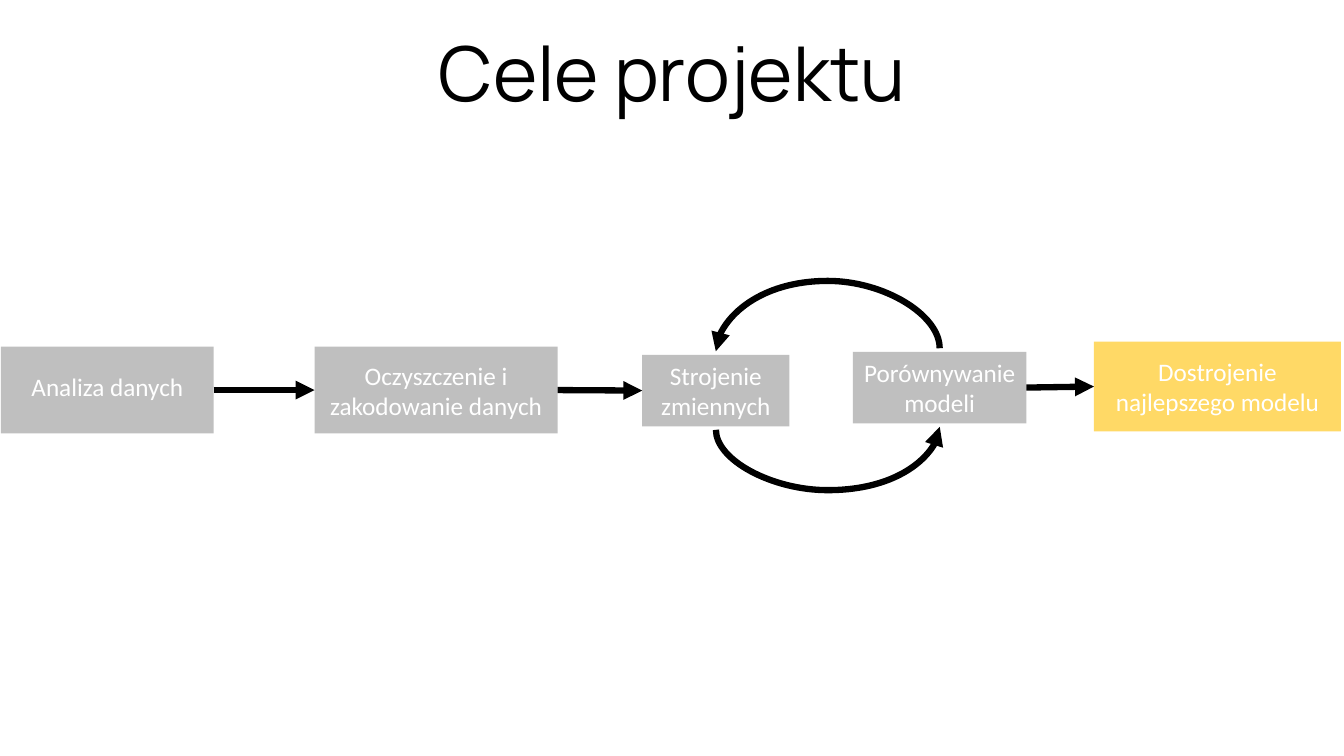
"""Builds the project goals slide: a five-step flow with a tuning loop."""
from lxml import etree
from pptx import Presentation
from pptx import util as u
from pptx.dml.color import RGBColor
from pptx.enum import shapes, text
from pptx.oxml.ns import qn

W, H = 13.33, 7.5
COLORS = {"step": "BFBFBF", "goal": "FFD966", "label": "FFFFFF", "ink": "000000"}
TITLE = ("Cele projektu", (3.89, 0.21, 5.56, 1.01))
STEPS = [
    {"label": "Analiza danych", "at": (0.01, 3.44, 2.11, 0.86), "lift": 0.04},
    {"label": "Oczyszczenie i zakodowanie danych", "at": (3.12, 3.44, 2.41, 0.86)},
    {"label": "Strojenie zmiennych", "at": (6.37, 3.52, 1.46, 0.71)},
    {"label": "Porównywanie modeli", "at": (8.46, 3.49, 1.72, 0.71)},
    {"label": "Dostrojenie najlepszego modelu", "at": (10.85, 3.39, 2.45, 0.89), "fill": "goal"},
]
LOOP_X, LOOP_SPAN, LOOP_RISE = 8.21, 2.22, 0.03
LOOPS = [
    {"y": 4.25, "depth": 0.6, "turn": 90},
    {"y": 3.47, "depth": 0.67, "turn": 270},
]


def rgb(name):
    return RGBColor.from_string(COLORS[name])


def write(sp, words, size=18, font="Calibri", color="label", anchor=text.MSO_ANCHOR.MIDDLE):
    tf = sp.text_frame
    tf.word_wrap, tf.auto_size, tf.vertical_anchor = True, text.MSO_AUTO_SIZE.NONE, anchor
    p = tf.paragraphs[0]
    p.alignment = text.PP_ALIGN.CENTER
    r = p.add_run()
    r.text = words
    r.font.size, r.font.name, r.font.color.rgb = u.Pt(size), font, rgb(color)


def add_step(s, label, at, fill="step", lift=0):
    sp = s.shapes.add_shape(shapes.MSO_SHAPE.RECTANGLE, *map(u.Inches, at))
    sp.shadow.inherit = False
    sp.fill.solid()
    sp.fill.fore_color.rgb = rgb(fill)
    sp.line.fill.background()
    sp.text_frame.margin_left = sp.text_frame.margin_right = u.Inches(0.05)
    sp.text_frame.margin_bottom = u.Inches(0.05 + 2 * lift)
    write(sp, label)
    return sp


def add_arrow(s, kind, ends=(0, 0, 0, 0)):
    c = s.shapes.add_connector(kind, *map(u.Inches, ends))
    c.line.color.rgb, c.line.width = rgb("ink"), u.Pt(4.5)
    etree.SubElement(c.line._get_or_add_ln(), qn("a:tailEnd"), type="triangle")
    etree.SubElement(c._element.spPr, qn("a:effectLst"))
    return c


def add_loop(s, y, depth, turn):
    dx, dy = LOOP_RISE / 2, LOOP_SPAN / 2
    c = add_arrow(s, shapes.MSO_CONNECTOR.CURVE, (LOOP_X + dx, y + dy, LOOP_X - dx, y - dy))
    spPr = c._element.spPr
    spPr.find(qn("a:xfrm")).set("rot", str(turn * 60000))
    geom = spPr.find(qn("a:prstGeom"))
    guides = geom.find(qn("a:avLst"))
    if guides is None:
        guides = etree.SubElement(geom, qn("a:avLst"))
    bend = round(-depth / LOOP_RISE * 100000)
    etree.SubElement(guides, qn("a:gd"), name="adj1", fmla=f"val {bend}")


def main():
    prs = Presentation()
    prs.slide_width, prs.slide_height = u.Inches(W), u.Inches(H)
    s = prs.slides.add_slide(prs.slide_layouts[5])
    words, at = TITLE
    title = s.shapes.title
    title.left, title.top, title.width, title.height = map(u.Inches, at)
    write(title, words, size=54, font="Manrope", color="ink", anchor=text.MSO_ANCHOR.TOP)

    boxes = [add_step(s, **step) for step in STEPS]
    for i in (0, 1, 3):
        c = add_arrow(s, shapes.MSO_CONNECTOR.STRAIGHT)
        c.begin_connect(boxes[i], 3)
        c.end_connect(boxes[i + 1], 1)
    for loop in LOOPS:
        add_loop(s, **loop)
    prs.save("out.pptx")


if __name__ == "__main__":
    main()
